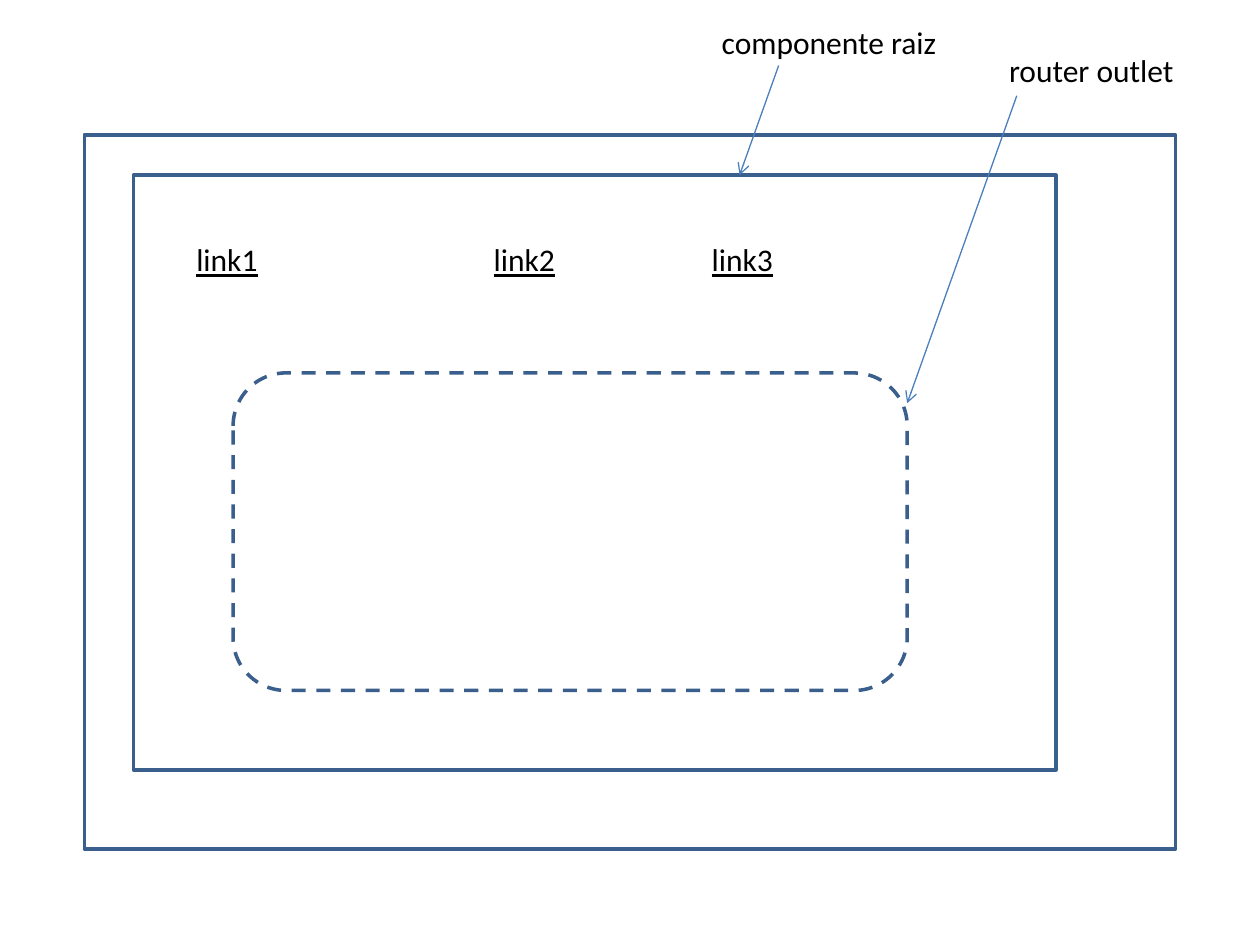
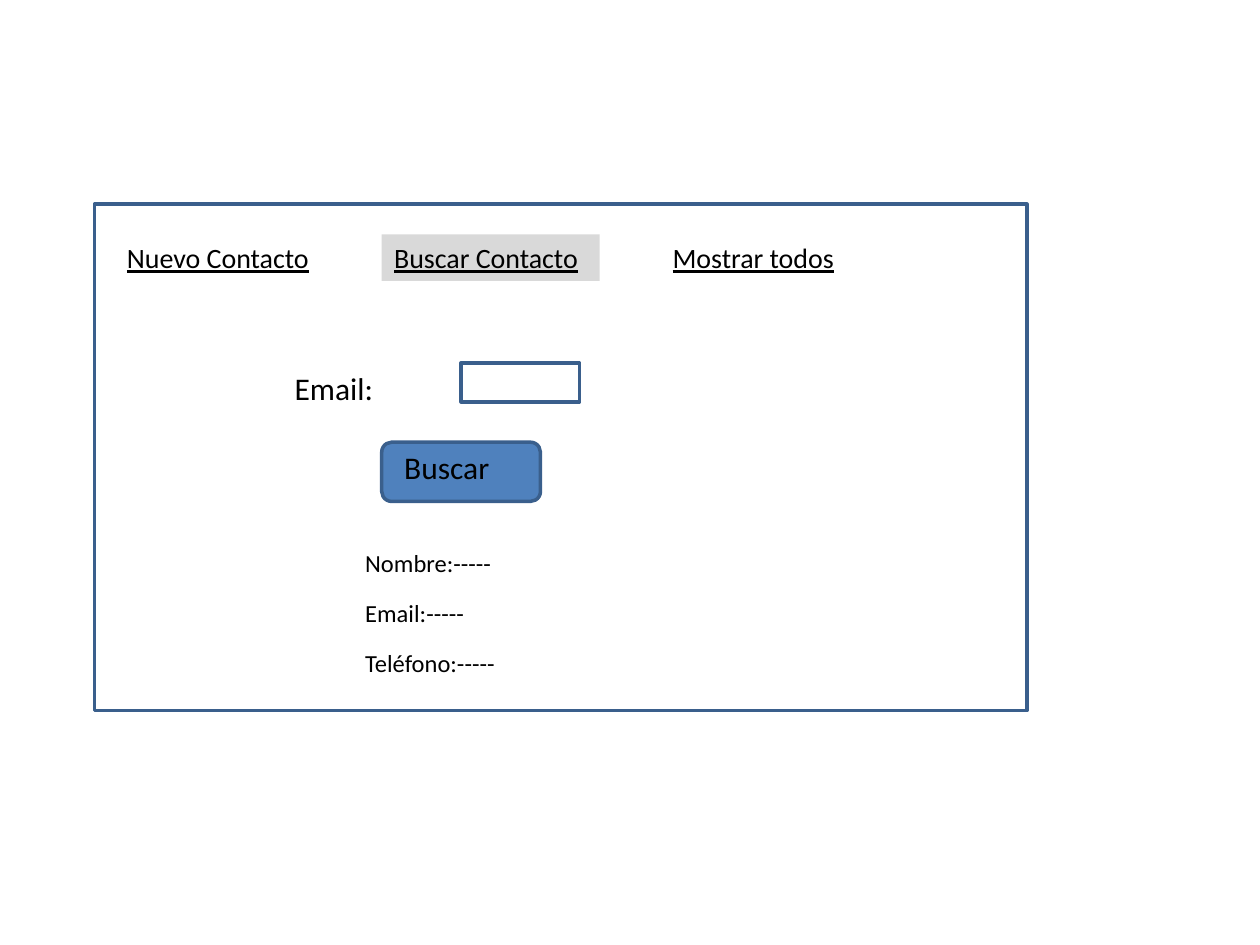
from lxml import etree
from pptx import Presentation
from pptx import util as u
from pptx.dml.color import RGBColor
from pptx.enum import dml, shapes, text
from pptx.oxml.ns import qn

COLUMNS, ROWS = 100, 75
RECT = shapes.MSO_SHAPE.RECTANGLE
ROUNDED = shapes.MSO_SHAPE.ROUNDED_RECTANGLE


def color(value):
    return RGBColor.from_string(value)


class Wireframe:
    font = "Calibri"
    ink, outline, arrow_line = "000000", "3A5F8C", "4B7EBC"
    button, highlight = "4F81BD", "D9D9D9"

    def __init__(self):
        self.prs = Presentation()
        self.prs.slide_width, self.prs.slide_height = u.Inches(10), u.Inches(7.5)
        self.s = None

    def add_slide(self):
        self.s = self.prs.slides.add_slide(self.prs.slide_layouts[6])

    def x(self, columns):
        return round(self.prs.slide_width * columns / COLUMNS)

    def y(self, rows):
        return round(self.prs.slide_height * rows / ROWS)

    def place(self, left, top, width, height):
        return self.x(left), self.y(top), self.x(width), self.y(height)

    def box(self, left, top, width, height, kind=RECT, fill=None, dashed=False):
        sp = self.s.shapes.add_shape(kind, *self.place(left, top, width, height))
        sp.shadow.inherit = False
        if fill:
            sp.fill.solid()
            sp.fill.fore_color.rgb = color(fill)
        else:
            sp.fill.background()
        sp.line.color.rgb = color(self.outline)
        sp.line.width = u.Pt(2)
        if dashed:
            sp.line.dash_style = dml.MSO_LINE.DASH

    def label(self, left, top, width, words, size=18, link=False, fill=None):
        height = {18: 4, 16: 3.7, 14: 3.4}[size]
        sp = self.s.shapes.add_textbox(*self.place(left, top, width, height))
        if fill:
            sp.fill.solid()
            sp.fill.fore_color.rgb = color(fill)
        tf = sp.text_frame
        tf.word_wrap = True
        tf.auto_size = text.MSO_AUTO_SIZE.SHAPE_TO_FIT_TEXT
        p = tf.paragraphs[0]
        p.text = words
        p.font.name, p.font.size = self.font, u.Pt(size)
        p.font.color.rgb = color(self.ink)
        if link:
            p.font.underline = True

    def arrow(self, x1, y1, x2, y2):
        c = self.s.shapes.add_connector(
            shapes.MSO_CONNECTOR.STRAIGHT, self.x(x1), self.y(y1), self.x(x2), self.y(y2))
        c.line.color.rgb = color(self.arrow_line)
        c.line.width = u.Pt(0.75)
        etree.SubElement(c.line._get_or_add_ln(), qn("a:tailEnd"), type="arrow")
        etree.SubElement(c._element.spPr, qn("a:effectLst"))


def router_layout(w):
    w.add_slide()
    w.box(6.7, 10.7, 86.6, 56.7)
    w.box(10.6, 13.9, 73.2, 47.2)
    w.arrow(61.8, 5.2, 58.7, 13.9)
    w.label(56.3, 1.3, 27.6, "componente raiz")
    for number, left in enumerate((14.6, 38.2, 55.5), 1):
        w.label(left, 18.6, 15.7, f"link{number}", link=True)
    w.box(18.5, 29.6, 53.5, 25.2, ROUNDED, dashed=True)
    w.arrow(80.7, 7.6, 72, 32)
    w.label(79.1, 3.6, 18.1, "router outlet")


def contact_search(w):
    w.add_slide()
    w.box(7.5, 16.2, 74, 40.2)
    menu = (("Nuevo Contacto", 9.1, None),
            ("Buscar Contacto", 30.3, w.highlight),
            ("Mostrar todos", 52.4, None))
    for words, left, fill in menu:
        w.label(left, 18.6, 17.3, words, 16, link=True, fill=fill)
    w.label(22.4, 28.8, 13.4, "Email:")
    w.box(36.6, 28.8, 9.4, 3.1)
    w.box(30.3, 35.1, 12.6, 4.7, ROUNDED, w.button)
    w.label(31.1, 35.1, 14.2, "Buscar")
    for row, field in enumerate(("Nombre", "Email", "Teléfono")):
        w.label(28, 43 + 3.95 * row, 13.4, f"{field}:-----", 14)


def main():
    w = Wireframe()
    router_layout(w)
    contact_search(w)
    w.prs.save("out.pptx")


if __name__ == "__main__":
    main()
